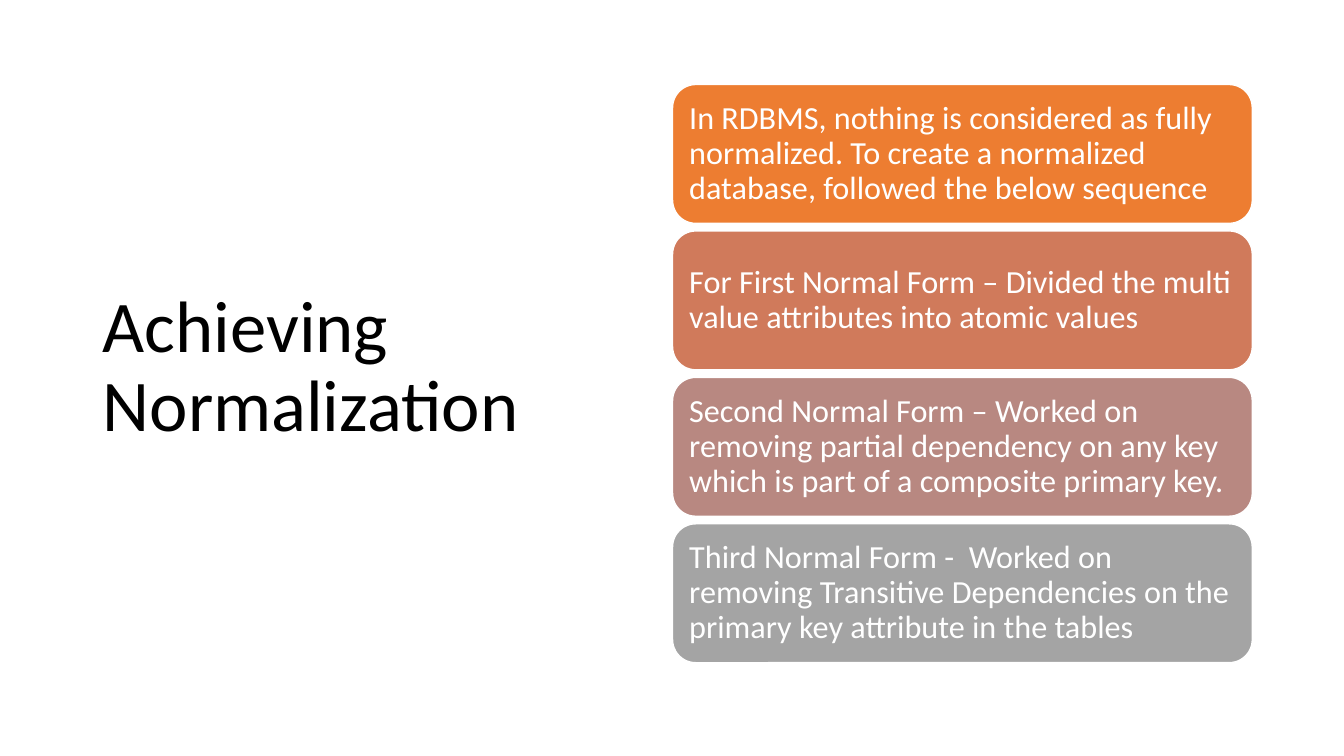
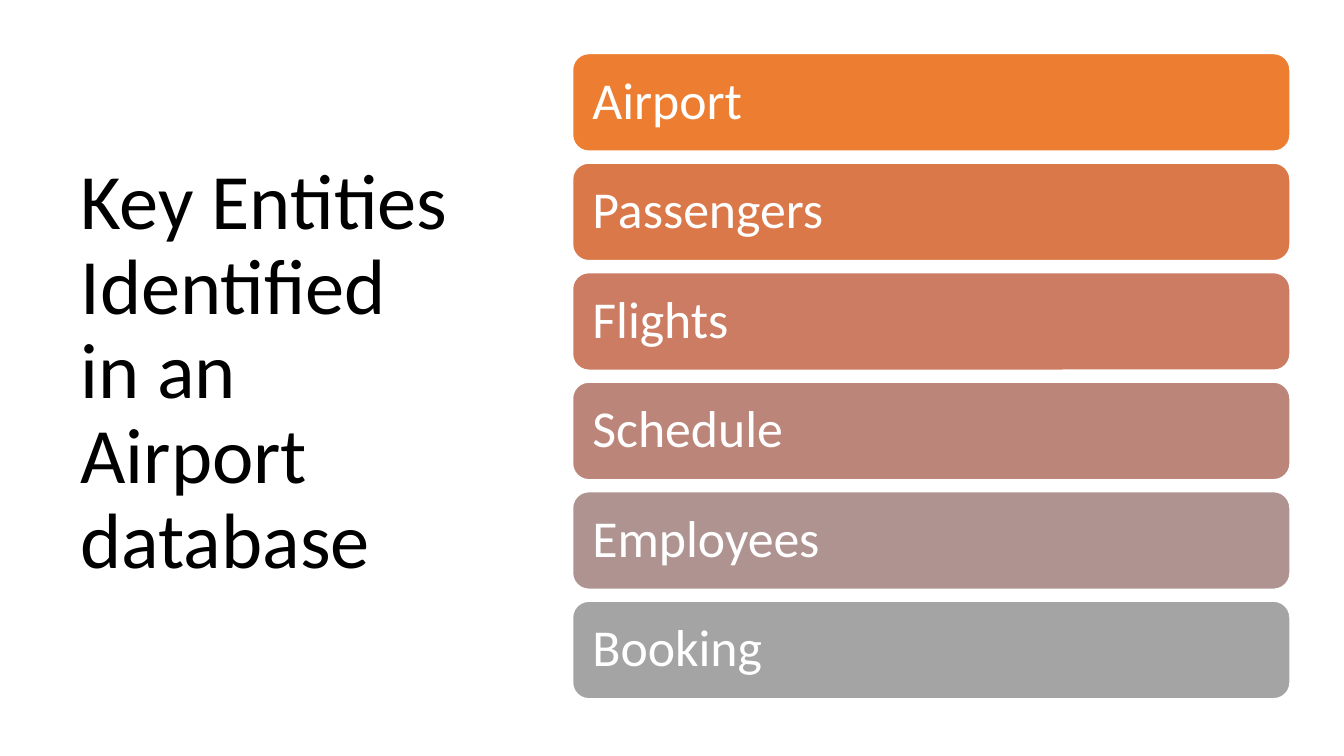
from pptx import Presentation
from pptx.dml.color import RGBColor
from pptx.enum.shapes import MSO_SHAPE as Shape
from pptx.enum.text import MSO_ANCHOR as Anchor, MSO_AUTO_SIZE as AutoSize, PP_ALIGN as Align
from pptx.util import Cm, Pt

FONT = "Calibri"
BLACK = "000000"
WHITE = "FFFFFF"
TITLE_ONLY = 5

STEPS = [
    ("In RDBMS, nothing is considered as fully normalized. "
     "To create a normalized database, followed the below sequence", "ED7D31"),
    ("For First Normal Form – Divided the multi value attributes into atomic values", "D07A5B"),
    ("Second Normal Form – Worked on removing partial dependency on any key "
     "which is part of a composite primary key.", "B88881"),
    ("Third Normal Form -  Worked on removing Transitive Dependencies "
     "on the primary key attribute in the tables", "A4A4A4"),
]
ENTITIES = [
    ("Airport", "ED7D31"),
    ("Passengers", "DB784A"),
    ("Flights", "CB7C63"),
    ("Schedule", "BC857A"),
    ("Employees", "AF9390"),
    ("Booking", "A4A4A4"),
]


def rgb(value):
    return RGBColor.from_string(value)


class Deck:
    """Shared style and the page being built."""

    def __init__(self):
        self.deck = Presentation()
        self.deck.slide_width = Cm(33.87)
        self.deck.slide_height = Cm(19.05)
        self.page = None

    def set_text(self, box, text, size, colour, anchor, inset_x, inset_y):
        frame = box.text_frame
        frame.text = text
        frame.word_wrap = True
        frame.auto_size = AutoSize.NONE
        frame.vertical_anchor = anchor
        frame.margin_left = frame.margin_right = Cm(inset_x)
        frame.margin_top = frame.margin_bottom = Cm(inset_y)
        para = frame.paragraphs[0]
        para.alignment = Align.LEFT
        para.line_spacing = 0.9
        para.space_before = Pt(0)
        para.font.name = FONT
        para.font.size = Pt(size)
        para.font.color.rgb = rgb(colour)

    def add_page(self, title, left, top, width, height, size, anchor):
        self.page = self.deck.slides.add_slide(self.deck.slide_layouts[TITLE_ONLY])
        box = self.page.shapes.title
        box.left, box.top, box.width, box.height = Cm(left), Cm(top), Cm(width), Cm(height)
        self.set_text(box, title, size, BLACK, anchor, 0.25, 0.13)

    def add_card(self, text, fill, left, top, width, height, size, inset):
        card = self.page.shapes.add_shape(
            Shape.ROUNDED_RECTANGLE, Cm(left), Cm(top), Cm(width), Cm(height))
        card.shadow.inherit = False
        card.fill.solid()
        card.fill.fore_color.rgb = rgb(fill)
        card.line.color.rgb = rgb(WHITE)
        card.line.width = Pt(1)
        self.set_text(card, text, size, WHITE, Anchor.MIDDLE, inset, inset)

    def add_stack(self, rows, left, top, width, height, gap, size, inset):
        for index, (text, fill) in enumerate(rows):
            self.add_card(text, fill, left, top + index * (height + gap),
                          width, height, size, inset)


def main():
    deck = Deck()
    deck.add_page("Achieving Normalization", left=2.34, top=1.55, width=13.51,
                  height=15.47, size=52, anchor=Anchor.MIDDLE)
    deck.add_stack(STEPS, left=16.95, top=2.13, width=14.61, height=3.5,
                   gap=0.19, size=23, inset=0.25)

    deck.add_page("Key Entities Identified in an Airport database", left=1.78, top=1.14,
                  width=9.93, height=13.74, size=56, anchor=Anchor.BOTTOM)
    deck.add_stack(ENTITIES, left=14.43, top=1.35, width=18.08, height=2.46,
                   gap=0.3, size=37, inset=0.38)
    deck.deck.save("out.pptx")


if __name__ == "__main__":
    main()
